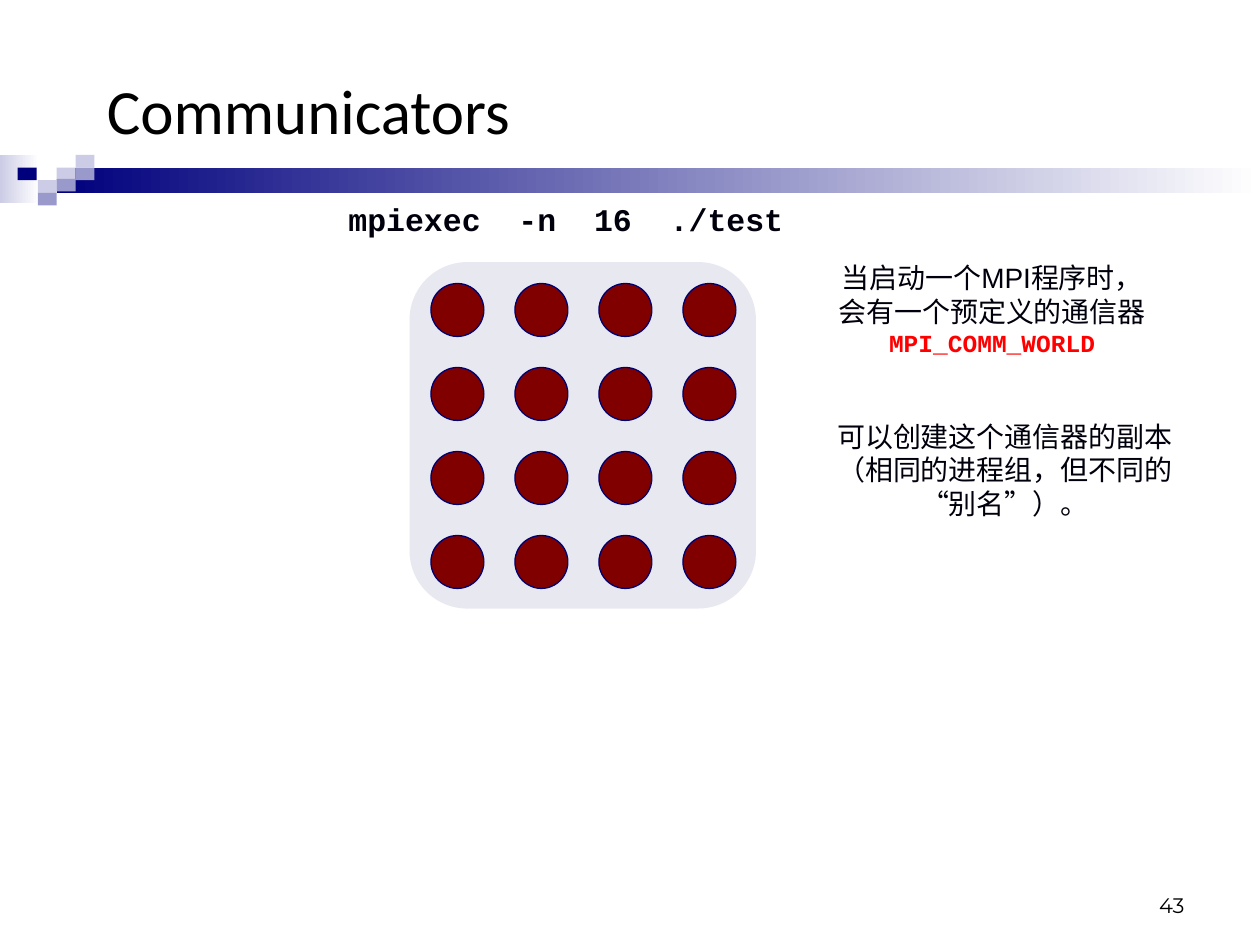
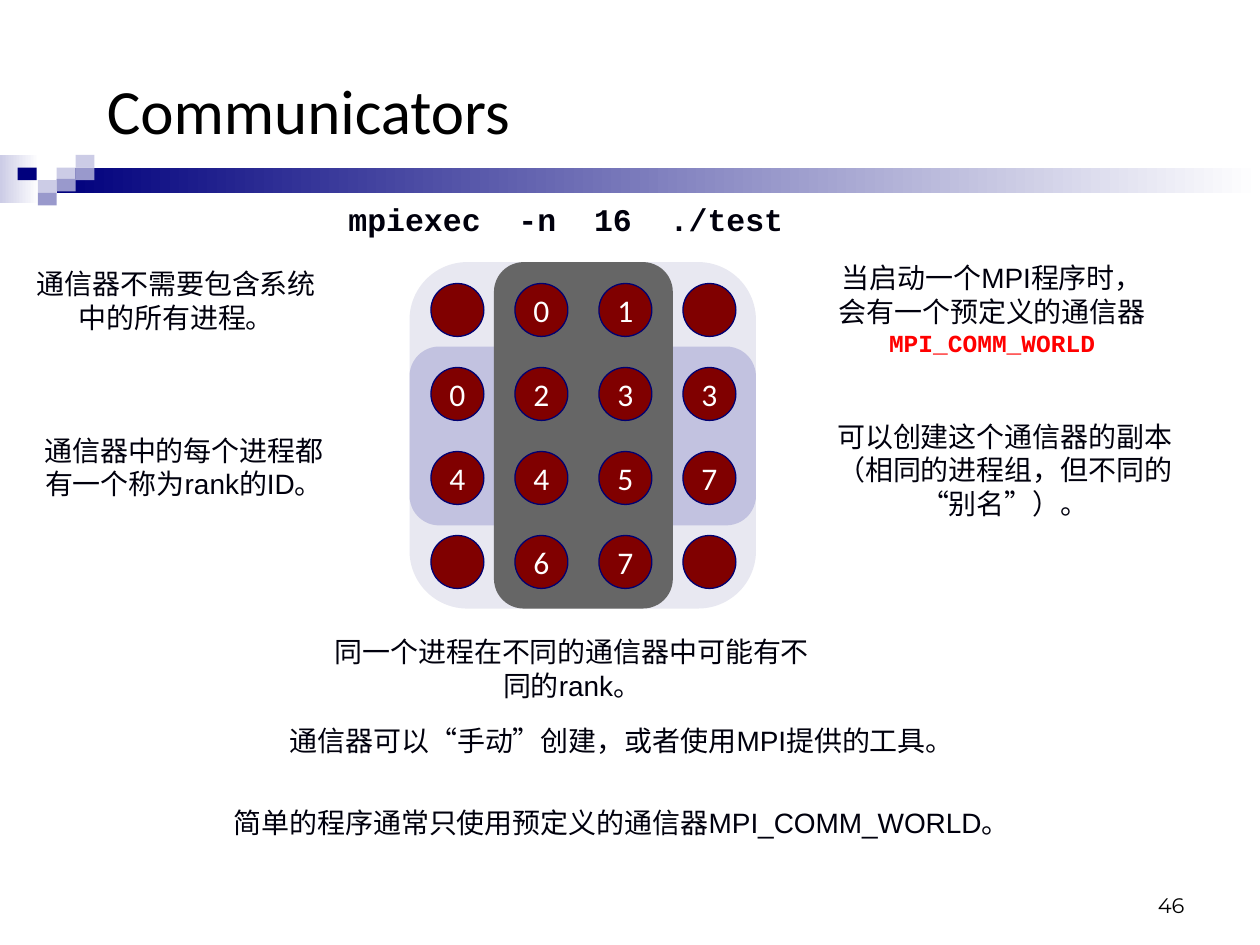
"""Build two slides on MPI communicators: a process grid and its sub-communicators."""
import pptx
import pptx.dml.color
import pptx.enum.shapes
import pptx.enum.text
import pptx.util

Inches = pptx.util.Inches
Pt = pptx.util.Pt
RGBColor = pptx.dml.color.RGBColor
SHAPE = pptx.enum.shapes.MSO_SHAPE
ALIGN = pptx.enum.text.PP_ALIGN
ANCHOR = pptx.enum.text.MSO_ANCHOR

WHITE = RGBColor(0xFF, 0xFF, 0xFF)
BLACK = RGBColor(0x00, 0x00, 0x00)
INK = RGBColor(0x00, 0x00, 0x0D)
RED = RGBColor(0xFF, 0x00, 0x00)
NAVY = RGBColor(0x00, 0x00, 0x7D)
LAVENDER = RGBColor(0xCC, 0xCC, 0xE6)
PERIWINKLE = RGBColor(0x99, 0x99, 0xCC)
MAROON = RGBColor(0x80, 0x00, 0x00)
PROCESS_EDGE = RGBColor(0x00, 0x00, 0x71)
WORLD_FILL = RGBColor(0xE8, 0xE8, 0xF1)
ROWS_FILL = RGBColor(0xC2, 0xC2, 0xE0)
COLUMNS_FILL = RGBColor(0x66, 0x66, 0x66)

FADING_BANDS = [
    (0, 1.23, 0.31, 0.38, LAVENDER),
    (0.45, 1.33, 9.55, 0.2, NAVY),
]
BAND_SQUARES = [
    (0.45, 1.33, LAVENDER),
    (0.6, 1.23, LAVENDER),
    (0.6, 1.33, PERIWINKLE),
    (0.3, 1.43, LAVENDER),
    (0.14, 1.33, NAVY),
    (0.45, 1.42, PERIWINKLE),
    (0.3, 1.53, PERIWINKLE),
]

WORLD = (3.25, 2.08, 2.75, 2.75, WORLD_FILL)
MIDDLE_ROWS = (3.25, 2.75, 2.75, 1.42, ROWS_FILL)
MIDDLE_COLUMNS = (3.92, 2.08, 1.42, 2.75, COLUMNS_FILL)
PROCESS_LEFT, PROCESS_TOP, PROCESS_SIZE, PROCESS_PITCH = 3.42, 2.25, 0.42, 2 / 3

SLIDES = [
    ("43", [WORLD], ["    "] * 4, []),
    ("46", [WORLD, MIDDLE_ROWS, MIDDLE_COLUMNS], [" 01 ", "0233", "4457", " 67 "], [
        (0.11, 2.07, 2.58, 0.64, "通信器不需要包含系统中的所有进程。"),
        (0.17, 3.39, 2.58, 0.9, "通信器中的每个进程都有一个称为rank的ID。"),
        (2.5, 4.99, 4.08, 0.64, "同一个进程在不同的通信器中可能有不同的rank。"),
    ]),
]


def add_block(slide, kind, left, top, width, height, color):
    block = slide.shapes.add_shape(kind, Inches(left), Inches(top), Inches(width), Inches(height))
    block.shadow.inherit = False
    block.fill.solid()
    block.fill.fore_color.rgb = color
    block.line.fill.background()
    return block


def add_text(slide, left, top, width, height, lines, size=16, face="Arial", color=INK,
             bold=False, align=ALIGN.CENTER, anchor=ANCHOR.TOP):
    frame = slide.shapes.add_textbox(
        Inches(left), Inches(top), Inches(width), Inches(height)).text_frame
    frame.word_wrap = True
    frame.vertical_anchor = anchor
    frame.text = "\n".join(lines)
    for paragraph in frame.paragraphs:
        paragraph.alignment = align
        paragraph.font.size = Pt(size)
        paragraph.font.name = face
        paragraph.font.bold = bold
        paragraph.font.color.rgb = color
    return frame.paragraphs


deck = pptx.Presentation()
deck.slide_width = Inches(10)
deck.slide_height = Inches(7.5)

for number, communicators, ranks, notes in SLIDES:
    slide = deck.slides.add_slide(deck.slide_layouts[6])

    for left, top, width, height, color in FADING_BANDS:
        band = add_block(slide, SHAPE.RECTANGLE, left, top, width, height, color)
        band.fill.gradient()
        band.fill.gradient_angle = 0
        for stop, stop_color in zip(band.fill.gradient_stops, (color, WHITE)):
            stop.color.rgb = stop_color
    for left, top, color in BAND_SQUARES:
        add_block(slide, SHAPE.RECTANGLE, left, top, 0.15, 0.1, color)

    add_text(slide, 0.75, 0.42, 8.42, 0.89, ["Communicators"], 36, "Calibri", BLACK,
             align=ALIGN.LEFT, anchor=ANCHOR.MIDDLE)
    add_text(slide, 7.17, 6.83, 2.33, 0.5, [number], 12, "Montserrat", BLACK,
             align=ALIGN.RIGHT, anchor=ANCHOR.BOTTOM)

    for communicator in communicators:
        add_block(slide, SHAPE.ROUNDED_RECTANGLE, *communicator)

    for row, row_ranks in enumerate(ranks):
        for column, rank in enumerate(row_ranks):
            process = add_block(slide, SHAPE.OVAL, PROCESS_LEFT + column * PROCESS_PITCH,
                                PROCESS_TOP + row * PROCESS_PITCH,
                                PROCESS_SIZE, PROCESS_SIZE, MAROON)
            process.line.color.rgb = PROCESS_EDGE
            process.line.width = Pt(0.75)
            if rank != " ":
                process.text_frame.text = rank
                process.text_frame.word_wrap = False
                label = process.text_frame.paragraphs[0]
                label.alignment = ALIGN.CENTER
                label.font.size = Pt(18)
                label.font.name = "Calibri"
                label.font.color.rgb = WHITE

    add_text(slide, 2.45, 1.54, 4.08, 0.4, ["mpiexec  -n  16  ./test"], 18, "Courier New", bold=True)
    predefined = add_text(slide, 6.5, 2.02, 2.75, 0.87,
                          ["当启动一个MPI程序时，会有一个预定义的通信器", "MPI_COMM_WORLD"])
    world_name = predefined[1].font
    world_name.size = Pt(14)
    world_name.name = "Courier New"
    world_name.bold = True
    world_name.color.rgb = RED
    add_text(slide, 6.42, 3.28, 3.11, 0.9,
             ["可以创建这个通信器的副本", "（相同的进程组，但不同的", "“别名”）。"])

    for left, top, width, height, note in notes:
        add_text(slide, left, top, width, height, [note])

summary = add_text(slide, 0.83, 5.64, 8.21, 1.06, [
    "通信器可以“手动”创建，或者使用MPI提供的工具。",
    "简单的程序通常只使用预定义的通信器MPI_COMM_WORLD。",
])
for paragraph in summary:
    paragraph.line_spacing = 1.2
summary[1].space_before = Pt(24)

deck.save("out.pptx")
